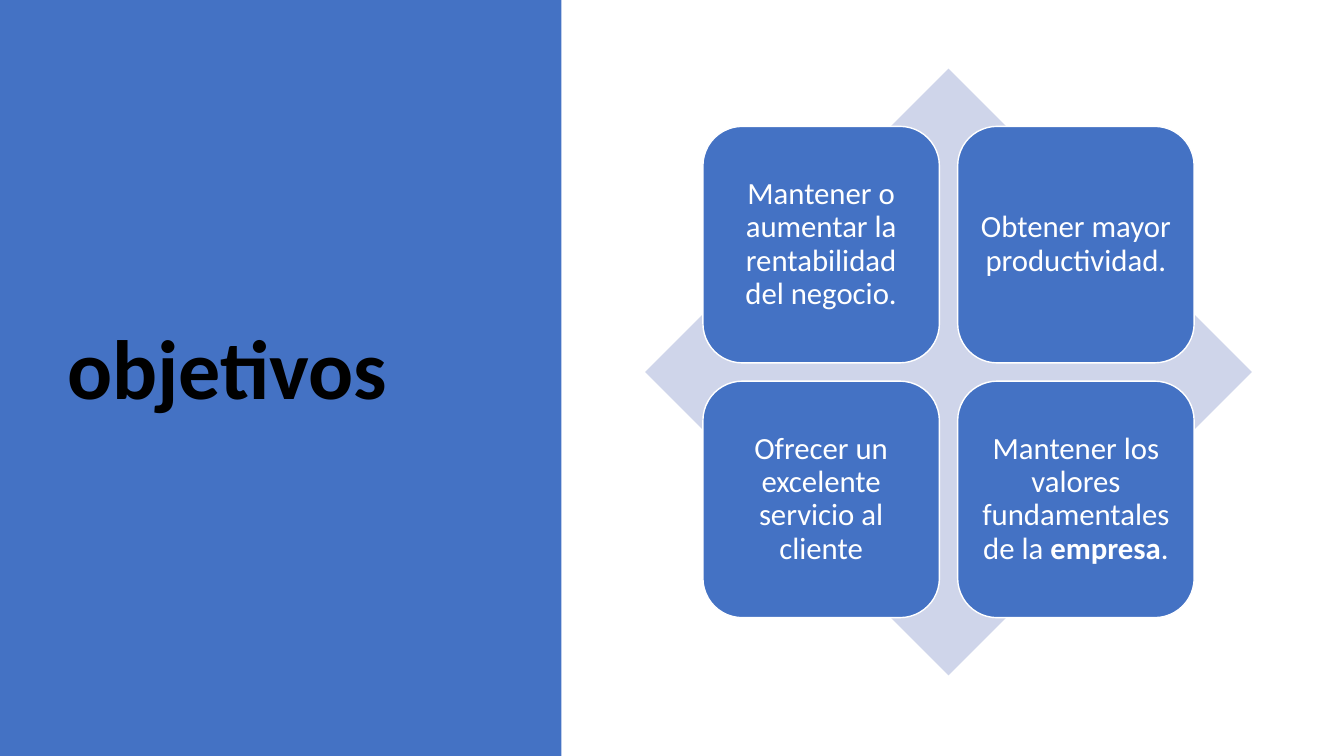
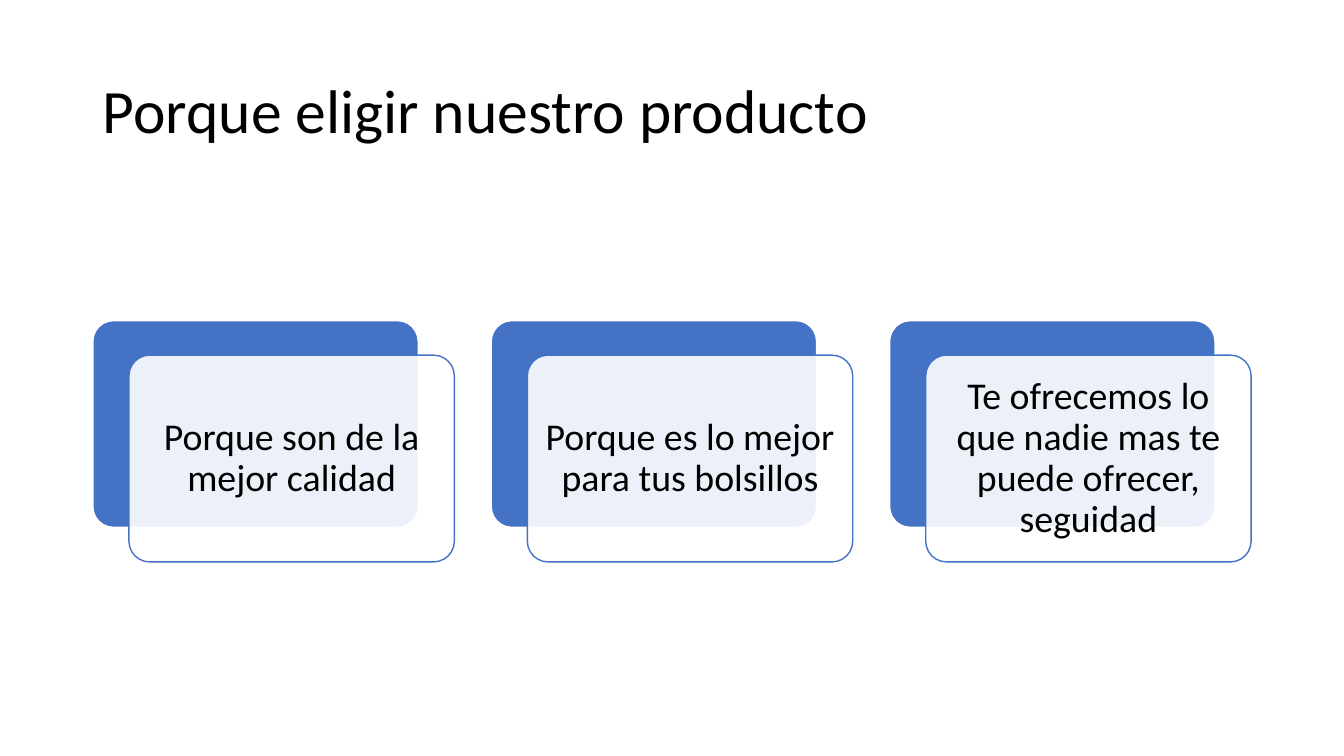
from lxml import etree
from pptx import Presentation
from pptx.dml.color import RGBColor
from pptx.enum.shapes import MSO_SHAPE as Shape
from pptx.enum.text import MSO_ANCHOR as Anchor, PP_ALIGN as Align
from pptx.oxml.ns import qn
from pptx.util import Cm, Pt

FONT = "Calibri"
BLUE, PALE, WHITE, BLACK = "4472C4", "CFD5EA", "FFFFFF", "000000"
WIDTH, HEIGHT = 33.87, 19.05

GOALS_TITLE = "objetivos"
GOALS = [
    [("Mantener o aumentar la rentabilidad del negocio.", False)],
    [("Obtener mayor productividad.", False)],
    [("Ofrecer un excelente servicio al cliente", False)],
    [("Mantener los valores fundamentales de la ", False), ("empresa", True), (".", False)],
]
REASONS_TITLE = "Porque eligir nuestro producto"
REASONS = [
    "Porque son de la mejor calidad",
    "Porque es lo mejor para tus bolsillos",
    "Te ofrecemos lo que nadie mas te puede ofrecer, seguidad",
]

PANEL_WIDTH = 14.15
DIAMOND_LEFT, DIAMOND_TOP, DIAMOND_SIZE = 16.26, 1.73, 15.29
TILE_SIZE, TILE_PITCH = 5.96, 6.42
CARD_LEFT, CARD_TOP, CARD_WIDTH, CARD_HEIGHT = 2.34, 8.08, 8.2, 5.21
CARD_PITCH, FRONT_RIGHT, FRONT_DOWN = 10.04, 0.91, 0.87


def color(value):
    return RGBColor.from_string(value)


def write(shape, runs, size, ink, align, inset):
    frame = shape.text_frame
    frame.word_wrap = True
    frame.vertical_anchor = Anchor.MIDDLE
    frame.margin_left = frame.margin_right = Cm(inset[0])
    frame.margin_top = frame.margin_bottom = Cm(inset[1])
    paragraph = frame.paragraphs[0]
    paragraph.alignment = align
    paragraph.line_spacing = 0.9
    for text, bold in runs:
        run = paragraph.add_run()
        run.text = text
        font = run.font
        font.name, font.size, font.bold = FONT, Pt(size), bold
        font.color.rgb = color(ink)


def add_title(slide, text, box, size, bold=False):
    shape = slide.shapes.add_textbox(*map(Cm, box))
    write(shape, [(text, bold)], size, BLACK, Align.LEFT, (0.25, 0.13))


def add_box(slide, kind, box, fill, line=None, radius=None, opacity=None):
    shape = slide.shapes.add_shape(kind, *map(Cm, box))
    shape.shadow.inherit = False
    shape.fill.solid()
    shape.fill.fore_color.rgb = color(fill)
    if line:
        shape.line.color.rgb = color(line)
        shape.line.width = Pt(1)
    else:
        shape.line.fill.background()
    if radius is not None:
        shape.adjustments[0] = radius
    if opacity is not None:
        fill_color = next(shape.element.spPr.iter(qn("a:srgbClr")))
        etree.SubElement(fill_color, qn("a:alpha"), val=str(opacity * 1000))
    return shape


def build_goals(slide):
    add_box(slide, Shape.RECTANGLE, (0, 0, PANEL_WIDTH, HEIGHT), BLUE)
    add_title(slide, GOALS_TITLE, (1.45, 1.73, 10.57, 15.29), 60, True)
    add_box(slide, Shape.DIAMOND,
            (DIAMOND_LEFT, DIAMOND_TOP, DIAMOND_SIZE, DIAMOND_SIZE), PALE)
    margin = (DIAMOND_SIZE - TILE_PITCH - TILE_SIZE) / 2
    for index, runs in enumerate(GOALS):
        row, column = divmod(index, 2)
        left = DIAMOND_LEFT + margin + column * TILE_PITCH
        top = DIAMOND_TOP + margin + row * TILE_PITCH
        tile = add_box(slide, Shape.ROUNDED_RECTANGLE,
                       (left, top, TILE_SIZE, TILE_SIZE), BLUE, WHITE)
        write(tile, runs, 22, WHITE, Align.CENTER, (0.23, 0.23))


def build_reasons(slide):
    add_title(slide, REASONS_TITLE, (2.34, 1.02, 29.21, 3.68), 44)
    for index, text in enumerate(REASONS):
        left = CARD_LEFT + index * CARD_PITCH
        add_box(slide, Shape.ROUNDED_RECTANGLE,
                (left, CARD_TOP, CARD_WIDTH, CARD_HEIGHT), BLUE, WHITE, 0.1)
        front = add_box(slide, Shape.ROUNDED_RECTANGLE,
                        (left + FRONT_RIGHT, CARD_TOP + FRONT_DOWN, CARD_WIDTH, CARD_HEIGHT),
                        WHITE, BLUE, 0.1, 90)
        write(front, [(text, False)], 27, BLACK, Align.CENTER, (0.28, 0.28))


def main():
    presentation = Presentation()
    presentation.slide_width, presentation.slide_height = Cm(WIDTH), Cm(HEIGHT)
    for build in (build_goals, build_reasons):
        build(presentation.slides.add_slide(presentation.slide_layouts[6]))
    presentation.save("out.pptx")


if __name__ == "__main__":
    main()
